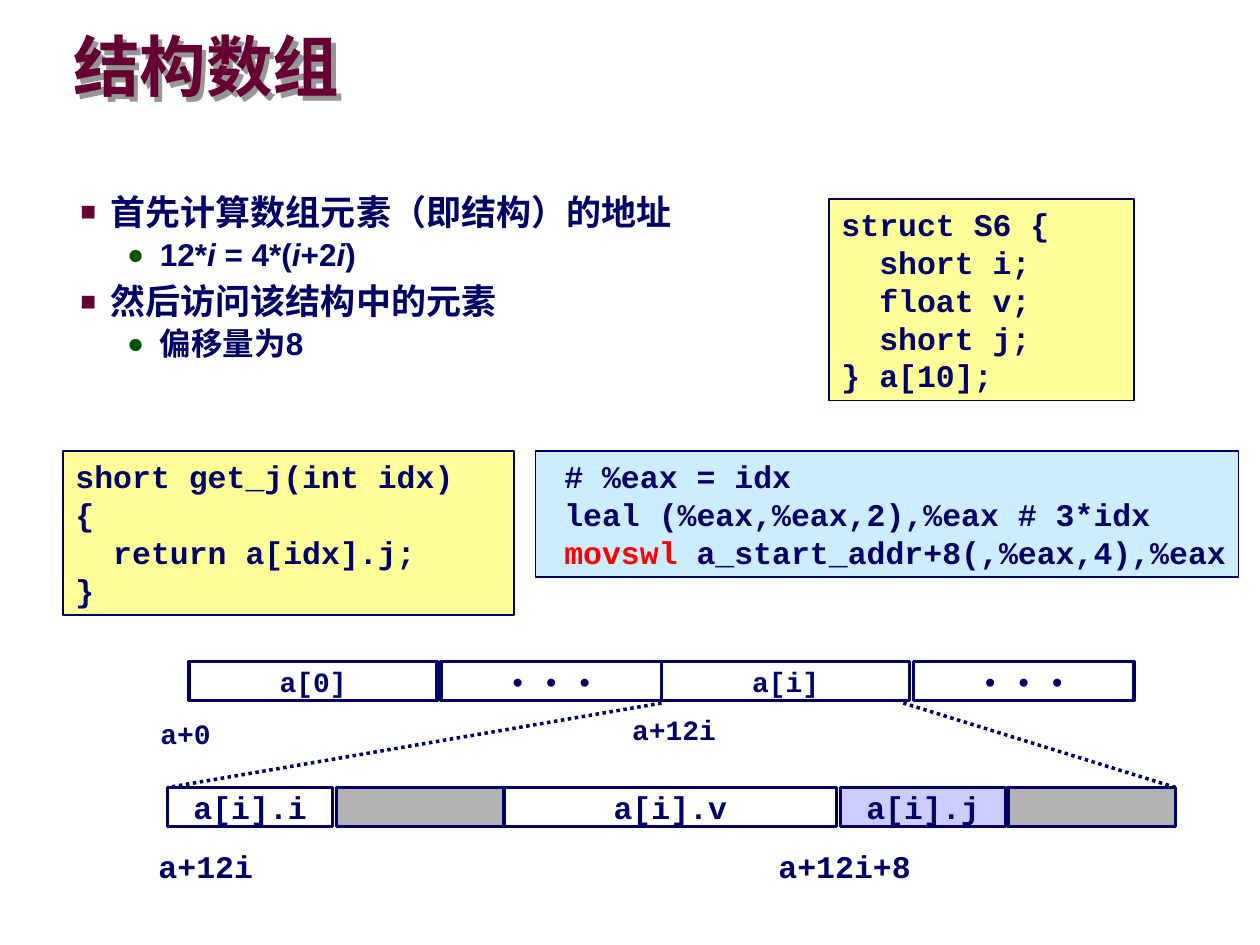
from lxml import etree
from pptx import Presentation
from pptx.dml.color import RGBColor
from pptx.enum.dml import MSO_LINE
from pptx.enum.shapes import MSO_CONNECTOR, MSO_SHAPE
from pptx.enum.text import MSO_ANCHOR, MSO_AUTO_SIZE, PP_ALIGN
from pptx.oxml.ns import qn
from pptx.util import Inches, Pt

RECTANGLE = MSO_SHAPE.RECTANGLE
STRAIGHT = MSO_CONNECTOR.STRAIGHT
DOTTED = MSO_LINE.ROUND_DOT
TOP, MIDDLE = MSO_ANCHOR.TOP, MSO_ANCHOR.MIDDLE
LEFT, CENTER, RIGHT = PP_ALIGN.LEFT, PP_ALIGN.CENTER, PP_ALIGN.RIGHT
NO_FIT, GROW = MSO_AUTO_SIZE.NONE, MSO_AUTO_SIZE.SHAPE_TO_FIT_TEXT

COLORS = {
    "navy": "000066", "maroon": "660033", "green": "005400", "red": "FF0000",
    "white": "FFFFFF", "yellow": "FFFF99", "sky": "CCECFF", "lilac": "CCCCFF",
    "gray": "B2B2B2", "shadow": "969696",
}
CODE = {"name": "Courier New", "bold": True}
PROSE = {"name": "Arial", "bold": True}

presentation = Presentation()
presentation.slide_width = Inches(10)
presentation.slide_height = Inches(7.5)
slide = presentation.slides.add_slide(presentation.slide_layouts[6])


def add_box(bounds, fill=None, line_width=1, **frame_format):
    """Add a filled, outlined rectangle, or a text box when there is no fill."""
    bounds = [Inches(value) for value in bounds]
    if fill is None:
        shape = slide.shapes.add_textbox(*bounds)
    else:
        shape = slide.shapes.add_shape(RECTANGLE, *bounds)
        shape.shadow.inherit = False
        shape.fill.solid()
        shape.fill.fore_color.rgb = RGBColor.from_string(COLORS[fill])
        shape.line.color.rgb = RGBColor.from_string(COLORS["navy"])
        shape.line.width = Pt(line_width)
    settings = {"word_wrap": True, "auto_size": NO_FIT, "vertical_anchor": TOP}
    for name, value in (settings | frame_format).items():
        setattr(shape.text_frame, name, value)
    return shape


def write(paragraph, runs, font, size, color="navy", **paragraph_format):
    """Fill a paragraph with (text, font overrides) runs."""
    for name, value in paragraph_format.items():
        setattr(paragraph, name, value)
    for text, overrides in runs:
        run = paragraph.add_run()
        run.text = text
        values = {"size": Pt(size), "color": color} | font | overrides
        run.font.color.rgb = RGBColor.from_string(COLORS[values.pop("color")])
        for name, value in values.items():
            setattr(run.font, name, value)


# Title: an unfilled box casts its shadow from the letters
title = add_box((0.58, 0.25, 8.36, 0.63), vertical_anchor=MIDDLE)
for side in ("left", "top", "right", "bottom"):
    setattr(title.text_frame, f"margin_{side}", 0)
write(title.text_frame.paragraphs[0], [("结构数组", {})], PROSE, 38, "maroon",
      line_spacing=0.87)
effects = etree.SubElement(title._element.spPr, qn("a:effectLst"))
shadow = etree.SubElement(effects, qn("a:outerShdw"), dist=str(Inches(0.05)),
                          dir="2700000", algn="ctr", rotWithShape="0")
etree.SubElement(shadow, qn("a:srgbClr"), val=COLORS["shadow"])

# Bulleted steps
LEVELS = {
    1: {"margin": 0.61, "indent": -0.24, "bullet": "■", "bullet_color": "maroon",
        "bullet_size": 75, "size": 20, "line_spacing": 0.9, "space_before": 6.2},
    2: {"margin": 1, "indent": -0.26, "bullet": "●", "bullet_color": "green",
        "bullet_size": 90, "size": 18, "line_spacing": 0.97, "space_before": 2.2},
}
italic = {"italic": True}
steps = [
    (1, [("首先计算数组元素（即结构）的地址", {})]),
    (2, [("12*", {}), ("i", italic), (" = 4*(", {}), ("i", italic),
         ("+2", {}), ("i", italic), (")", {})]),
    (1, [("然后访问该结构中的元素", {})]),
    (2, [("偏移量为8", {})]),
]
body = add_box((0.17, 1.5, 5.95, 1.75)).text_frame
for index, (level, runs) in enumerate(steps):
    paragraph = body.add_paragraph() if index else body.paragraphs[0]
    style = LEVELS[level]
    properties = paragraph._p.get_or_add_pPr()
    properties.set("marL", str(Inches(style["margin"])))
    properties.set("indent", str(Inches(style["indent"])))
    bullet_color = etree.SubElement(properties, qn("a:buClr"))
    etree.SubElement(bullet_color, qn("a:srgbClr"), val=COLORS[style["bullet_color"]])
    etree.SubElement(properties, qn("a:buSzPct"), val=str(style["bullet_size"] * 1000))
    etree.SubElement(properties, qn("a:buFont"), typeface="Arial")
    etree.SubElement(properties, qn("a:buChar"), char=style["bullet"])
    write(paragraph, runs, PROSE, style["size"], line_spacing=style["line_spacing"],
          space_before=Pt(style["space_before"] if index else 0))

# Dotted lines that expand a[i] into its fields
for ends in ((5.25, 5.58, 1.33, 6.25), (9.33, 6.25, 7.17, 5.58)):
    connector = slide.shapes.add_connector(STRAIGHT, *[Inches(end) for end in ends])
    connector.line.color.rgb = RGBColor.from_string(COLORS["navy"])
    connector.line.width = Pt(2)
    connector.line.dash_style = DOTTED
    etree.SubElement(connector._element.spPr, qn("a:effectLst"))

# Memory rows: top, text size, cells of (left, width, fill, label)
memory_rows = [
    (5.25, 16, [(1.5, 1.97, "white", "a[0]"), (5.25, 1.97, "white", "a[i]"),
                (3.5, 1.75, "white", "• • •"), (7.25, 1.75, "white", "• • •")]),
    (6.25, 18, [(1.33, 1.31, "white", "a[i].i"), (6.67, 1.31, "lilac", "a[i].j"),
                (4, 2.64, "white", "a[i].v"), (2.67, 1.33, "gray", ""),
                (8, 1.33, "gray", "")]),
]
for top, size, cells in memory_rows:
    for left, width, fill, label in cells:
        cell = add_box((left, top, width, 0.31), fill, 2,
                       word_wrap=False, vertical_anchor=MIDDLE)
        if label:
            write(cell.text_frame.paragraphs[0], [(label, {})], CODE, size,
                  alignment=CENTER)

# Address labels, each a little wider than its text
address_labels = [
    ("a+0", (1.12, 5.64, 0.65, 0.36), 16, RIGHT),
    ("a+12i", (4.86, 5.61, 0.92, 0.36), 16, RIGHT),
    ("a+12i", (1.16, 6.67, 1, 0.4), 18, LEFT),
    ("a+12i+8", (6.08, 6.67, 1.3, 0.4), 18, LEFT),
]
for text, bounds, size, alignment in address_labels:
    label = add_box(bounds, word_wrap=False)
    write(label.text_frame.paragraphs[0], [(text, {})], CODE, size, alignment=alignment)

# Code panels: bounds, fill, tab stop, lines of runs
code_panels = [
    ((0.5, 3.58, 3.58, 1.3), "yellow", None, [
        [("short get_j(int idx)", {})],
        [("{", {})],
        [("  return a[idx].j;", {})],
        [("}", {})],
    ]),
    ((4.25, 3.58, 5.58, 1), "sky", 0.13, [
        [("\t# %eax = idx", {})],
        [("\tleal (%eax,%eax,2),%eax # 3*idx", {})],
        [("\t", {}), ("movswl", {"color": "red"}),
         (" a_start_addr+8(,%eax,4),%eax", {})],
    ]),
    ((6.58, 1.58, 2.42, 1.6), "yellow", None, [
        [("struct S6 {", {})],
        [("  short i;", {})],
        [("  float v;", {})],
        [("  short j;", {})],
        [("} a[10];", {})],
    ]),
]
for bounds, fill, tab_stop, lines in code_panels:
    frame = add_box(bounds, fill, auto_size=GROW).text_frame
    for index, runs in enumerate(lines):
        paragraph = frame.add_paragraph() if index else frame.paragraphs[0]
        if tab_stop:
            tabs = etree.SubElement(paragraph._p.get_or_add_pPr(), qn("a:tabLst"))
            etree.SubElement(tabs, qn("a:tab"), pos=str(Inches(tab_stop)), algn="l")
        write(paragraph, runs, CODE, 18, alignment=LEFT)

presentation.save("out.pptx")
